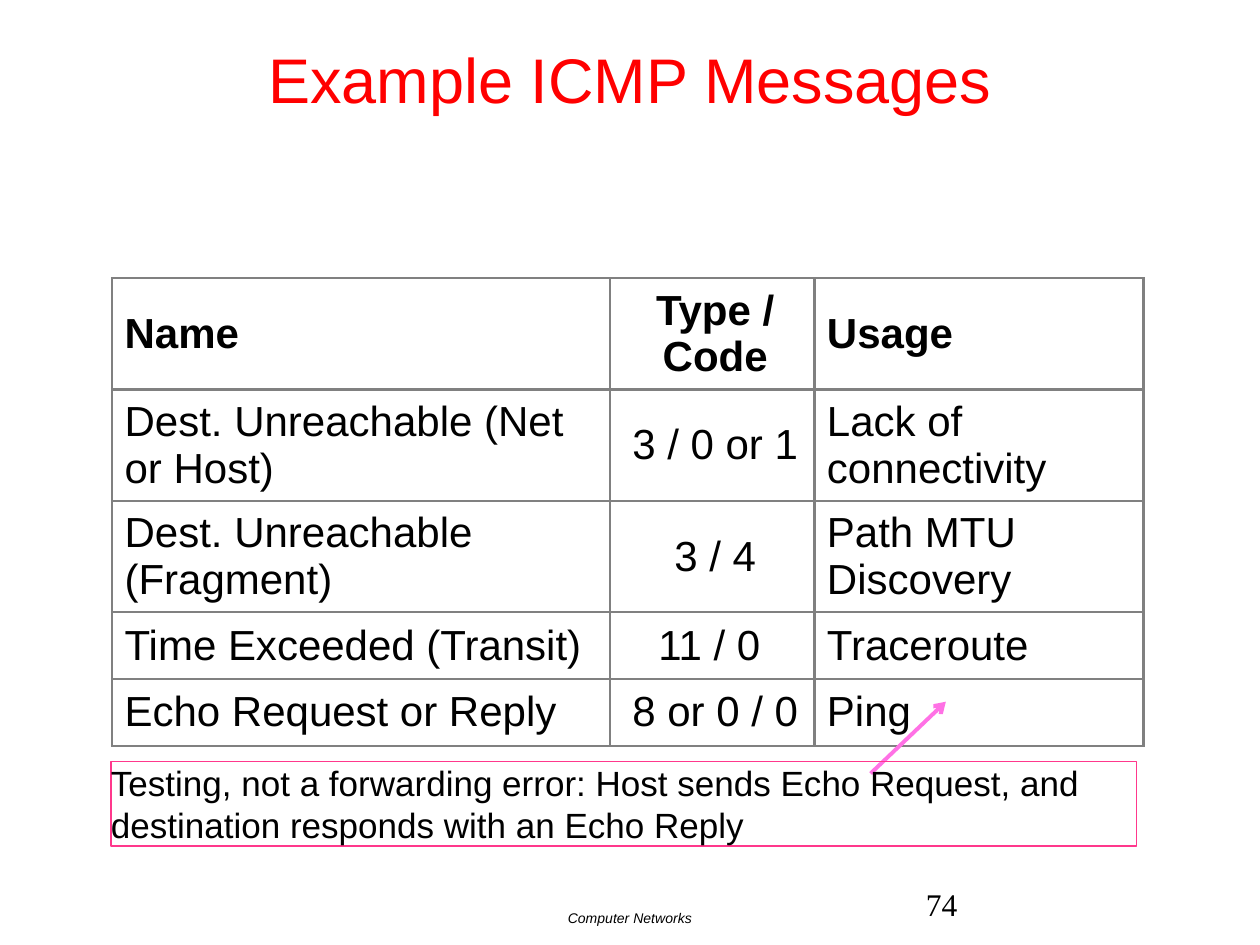
import pptx
import pptx.dml.color
import pptx.enum.shapes
import pptx.enum.text
import pptx.oxml
import pptx.oxml.ns
import pptx.util
from lxml import etree

Pt = pptx.util.Pt
ALIGN = pptx.enum.text.PP_ALIGN
ANCHOR = pptx.enum.text.MSO_ANCHOR
NAMESPACE = pptx.oxml.ns.nsdecls("a")

BLACK, RED, GREY = "000000", "FF0000", "808080"
BOX_PINK, ARROW_PINK = "FF388C", "FF71E5"

COLUMN_WIDTHS = (284.4, 117, 188)
ROW_HEIGHTS = (59.4, 59.4, 59.4, 38.2, 38.2)
MESSAGES = (
    ("Name", "Type / Code", "Usage"),
    ("Dest. Unreachable (Net or Host)", "3 / 0 or 1", "Lack of connectivity"),
    ("Dest. Unreachable (Fragment)", "3 / 4", "Path MTU Discovery"),
    ("Time Exceeded (Transit)", "11 / 0 ", "Traceroute"),
    ("Echo Request or Reply", "8 or 0 / 0", "Ping"),
)


def color(hex_string):
    return pptx.dml.color.RGBColor.from_string(hex_string)


def points(box):
    return [Pt(length) for length in box]


def write(text_frame, text, size, font="Arial", fill=BLACK, align=ALIGN.LEFT,
          bold=False, italic=False):
    text_frame.text = text
    text_frame.word_wrap = True
    paragraph = text_frame.paragraphs[0]
    paragraph.alignment = align
    run_font = paragraph.runs[0].font
    run_font.name, run_font.size = font, Pt(size)
    run_font.bold, run_font.italic = bold, italic
    run_font.color.rgb = color(fill)


def set_margins(target, left, top, right, bottom):
    target.margin_left, target.margin_top = Pt(left), Pt(top)
    target.margin_right, target.margin_bottom = Pt(right), Pt(bottom)


def add_label(slide, box, text, size, anchor=ANCHOR.TOP, **style):
    text_frame = slide.shapes.add_textbox(*points(box)).text_frame
    text_frame.vertical_anchor = anchor
    write(text_frame, text, size, **style)


def add_cell_borders(cell, hex_string, width):
    """Put the four border lines ahead of the cell's fill, as the schema asks."""
    properties = cell._tc.get_or_add_tcPr()
    for index, side in enumerate(("lnL", "lnR", "lnT", "lnB")):
        properties.insert(index, pptx.oxml.parse_xml(
            f'<a:{side} {NAMESPACE} w="{Pt(width)}"><a:solidFill>'
            f'<a:srgbClr val="{hex_string}"/></a:solidFill></a:{side}>'))


def add_message_table(slide, left, top):
    box = (left, top, sum(COLUMN_WIDTHS), sum(ROW_HEIGHTS))
    table = slide.shapes.add_table(
        len(MESSAGES), len(COLUMN_WIDTHS), *points(box)).table
    table.horz_banding = False
    for column, width in zip(table.columns, COLUMN_WIDTHS):
        column.width = Pt(width)
    for row_index, (row, height) in enumerate(zip(table.rows, ROW_HEIGHTS)):
        row.height = Pt(height)
        for column_index, cell in enumerate(row.cells):
            cell.fill.background()
            cell.vertical_anchor = ANCHOR.MIDDLE
            set_margins(cell, 7.2, 3, 3.6, 3)
            write(cell.text_frame, MESSAGES[row_index][column_index], 24,
                  align=ALIGN.CENTER if column_index == 1 else ALIGN.LEFT,
                  bold=row_index == 0)
            add_cell_borders(cell, GREY, 1.5)


def add_arrow(slide, start, end):
    arrow = slide.shapes.add_connector(
        pptx.enum.shapes.MSO_CONNECTOR.STRAIGHT, *points(start + end))
    arrow.line.color.rgb = color(ARROW_PINK)
    arrow.line.width = Pt(2.25)
    line = arrow.line._get_or_add_ln()
    etree.SubElement(line, pptx.oxml.ns.qn("a:tailEnd"), type="arrow")
    etree.SubElement(arrow._element.spPr, pptx.oxml.ns.qn("a:effectLst"))


def add_note(slide, box, text):
    note = slide.shapes.add_shape(
        pptx.enum.shapes.MSO_SHAPE.RECTANGLE, *points(box))
    note.shadow.inherit = False
    note.fill.background()
    note.line.color.rgb = color(BOX_PINK)
    note.line.width = Pt(0.75)
    note.text_frame.vertical_anchor = ANCHOR.TOP
    set_margins(note.text_frame, 0, 0, 0, 0)
    write(note.text_frame, text, 20)


def build_icmp_slide(presentation):
    slide = presentation.slides.add_slide(presentation.slide_layouts[6])
    add_label(slide, (0, 0, 720, 90), "Example ICMP Messages", 36,
              anchor=ANCHOR.MIDDLE, fill=RED, align=ALIGN.CENTER)
    add_label(slide, (0, 516, 720, 24), "Computer Networks", 8,
              align=ALIGN.CENTER, italic=True)
    add_label(slide, (522, 502, 168, 29), "74", 18, font="Times New Roman")
    add_message_table(slide, 64, 159)
    add_arrow(slide, (497.5, 442), (540.5, 401))
    add_note(slide, (63.4, 435, 586, 48.4),
             "Testing, not a forwarding error: Host sends Echo Request, "
             "and destination responds with an Echo Reply")


def main():
    presentation = pptx.Presentation()
    presentation.slide_width, presentation.slide_height = Pt(720), Pt(540)
    build_icmp_slide(presentation)
    presentation.save("out.pptx")


if __name__ == "__main__":
    main()
